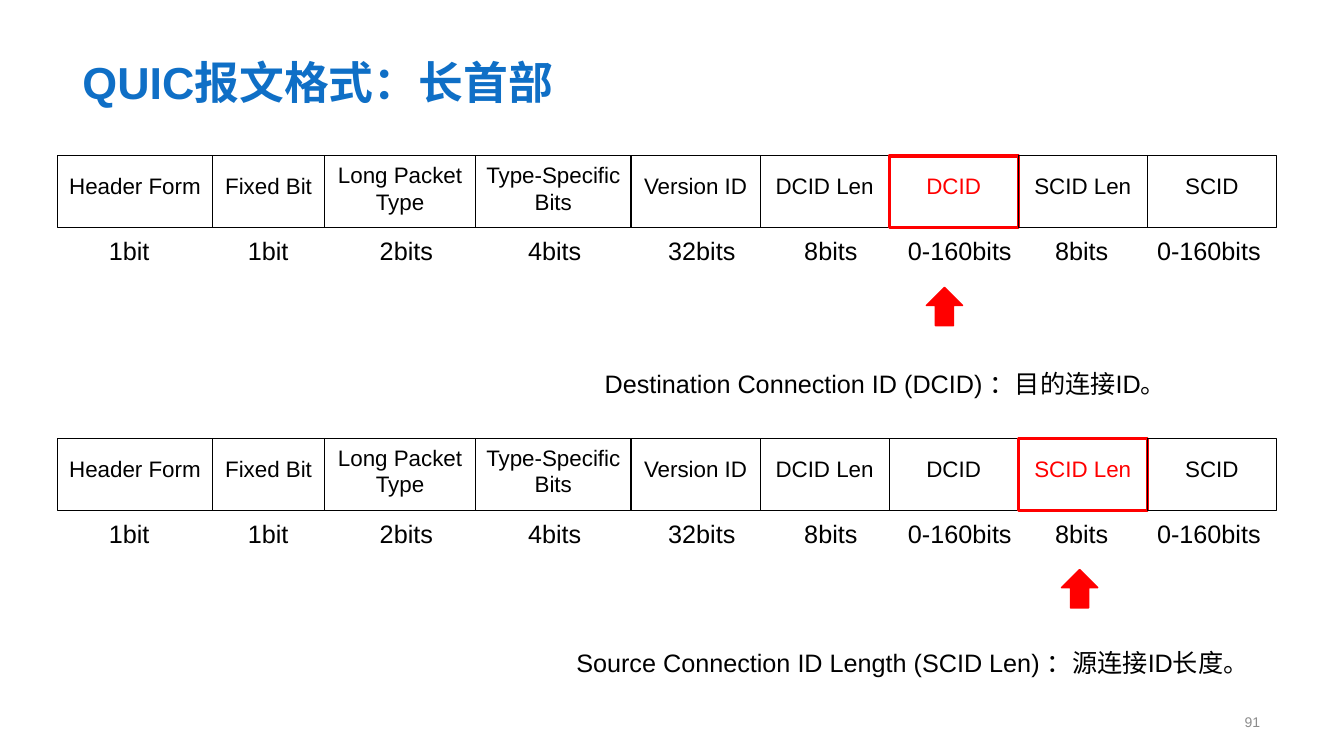
from pptx import Presentation
from pptx.dml.color import RGBColor
from pptx.enum import shapes, text
from pptx.util import Pt

BLACK = RGBColor(0x00, 0x00, 0x00)
RED = RGBColor(0xFF, 0x00, 0x00)
BLUE = RGBColor(0x0F, 0x6F, 0xC6)
GRAY = RGBColor(0x8C, 0x8C, 0x8C)

FIELDS = [
    ("Header Form", 110.9, "1bit", 70.6),
    ("Fixed Bit", 79.9, "1bit", 169.9),
    ("Long Packet Type", 108, "2bits", 264.2),
    ("Type-Specific Bits", 110.9, "4bits", 370.1),
    ("Version ID", 92.2, "32bits", 470.2),
    ("DCID Len", 92.2, "8bits", 567.4),
    ("DCID", 92.2, "0-160bits", 641.5),
    ("SCID Len", 92.2, "8bits", 746.6),
    ("SCID", 92.2, "0-160bits", 819.4),
]
TWO_LINE_FIELDS = ("Long Packet Type", "Type-Specific Bits")
LABEL_WIDTHS = {"1bit": 43.9, "2bits": 52.6, "4bits": 52.6, "8bits": 52.6,
                "32bits": 63.4, "0-160bits": 89.3}


def write(sp, words, size, color, align=text.PP_ALIGN.LEFT, bold=False):
    tf = sp.text_frame
    tf.text = words
    p = tf.paragraphs[0]
    p.alignment = align
    r = p.runs[0]
    r.font.name = "Arial"
    r.font.size = Pt(size)
    r.font.bold = bold
    r.font.color.rgb = color
    return p


def add_text(s, x, y, w, h, words, size, color=BLACK, wrap=True,
             anchor=text.MSO_ANCHOR.TOP, **style):
    sp = s.shapes.add_textbox(Pt(x), Pt(y), Pt(w), Pt(h))
    sp.text_frame.word_wrap = wrap
    sp.text_frame.vertical_anchor = anchor
    return write(sp, words, size, color, **style)


def add_field(s, x, y, w, name, highlighted):
    color = RED if highlighted else BLACK
    sp = s.shapes.add_shape(shapes.MSO_SHAPE.RECTANGLE,
                            Pt(x), Pt(y), Pt(w), Pt(51.1))
    sp.shadow.inherit = False
    sp.fill.background()
    sp.line.color.rgb = color
    sp.line.width = Pt(2.25 if highlighted else 0.75)
    tf = sp.text_frame
    tf.word_wrap = True
    tf.vertical_anchor = text.MSO_ANCHOR.TOP
    tf.margin_top = Pt(3.6 if name in TWO_LINE_FIELDS else 11.5)
    write(sp, name, 16, color, text.PP_ALIGN.CENTER)


def add_arrow(s, x, y):
    sp = s.shapes.add_shape(shapes.MSO_SHAPE.UP_ARROW,
                            Pt(x), Pt(y), Pt(25.9), Pt(27.4))
    sp.shadow.inherit = False
    sp.fill.solid()
    sp.fill.fore_color.rgb = RED
    sp.line.color.rgb = RED
    sp.line.width = Pt(1)


def add_header(s, y, highlighted):
    x = 41
    for name, width, bits, label_x in FIELDS:
        add_field(s, x, y, width, name, name == highlighted)
        add_text(s, label_x, y + 53.5, LABEL_WIDTHS[bits], 28.8, bits, 18,
                 wrap=False)
        x += width


def add_caption(s, x, y, w, words):
    p = add_text(s, x, y, w, 36, words, 18, align=text.PP_ALIGN.JUSTIFY)
    p.line_spacing = 1.5
    p._p.get_or_add_pPr().set("indent", str(Pt(21.6)))


def main():
    prs = Presentation()
    prs.slide_width, prs.slide_height = Pt(960), Pt(540)
    s = prs.slides.add_slide(prs.slide_layouts[6])
    add_text(s, 51.8, 10.1, 855.4, 70.6, "QUIC报文格式：长首部", 32, BLUE,
             anchor=text.MSO_ANCHOR.BOTTOM, bold=True)

    add_header(s, 111.4, "DCID")
    add_arrow(s, 661.7, 205.2)
    add_caption(s, 403.2, 248.4, 468, "Destination Connection ID (DCID) ：目的连接ID。")

    add_header(s, 313.4, "SCID Len")
    add_arrow(s, 758.2, 406.8)
    add_caption(s, 383, 447.8, 583.2, "Source Connection ID Length (SCID Len) ：源连接ID长度。")

    add_text(s, 612, 504.7, 295.2, 21.6, "91", 10, GRAY,
             anchor=text.MSO_ANCHOR.MIDDLE, align=text.PP_ALIGN.RIGHT)
    prs.save("out.pptx")


if __name__ == "__main__":
    main()
